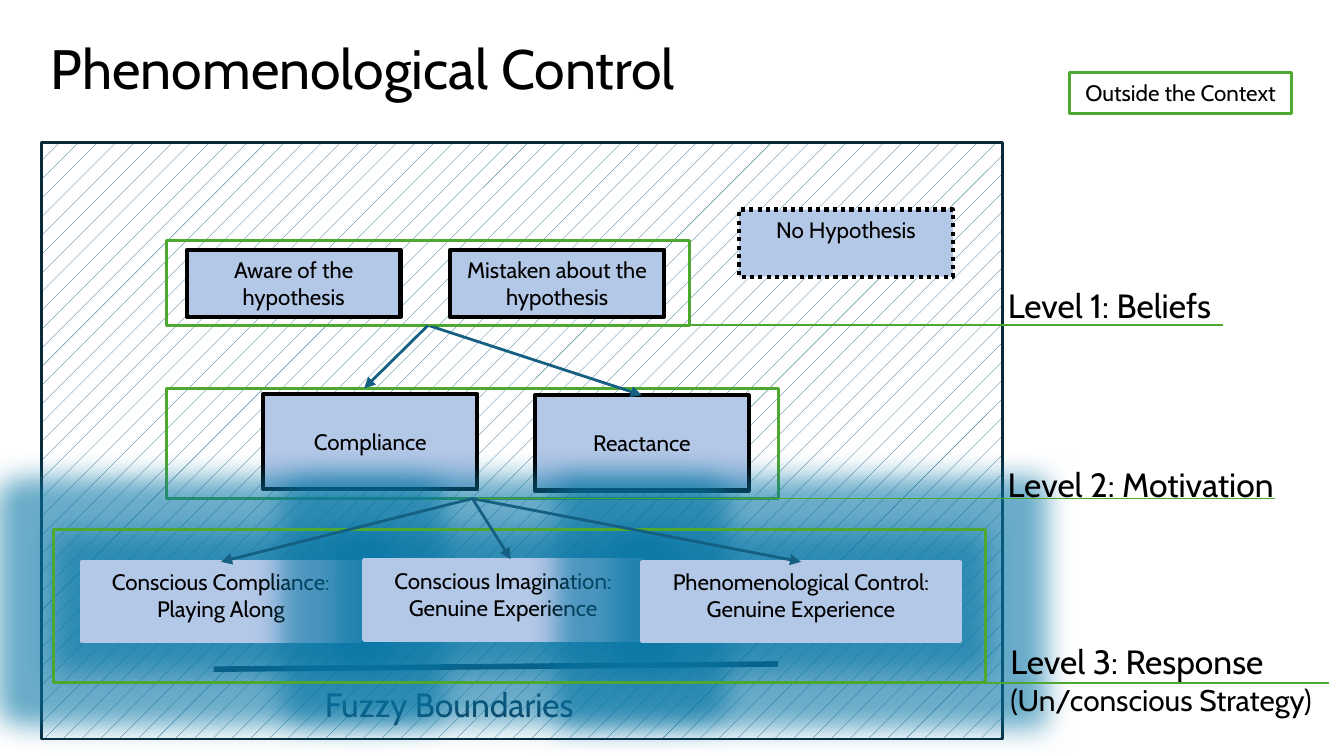
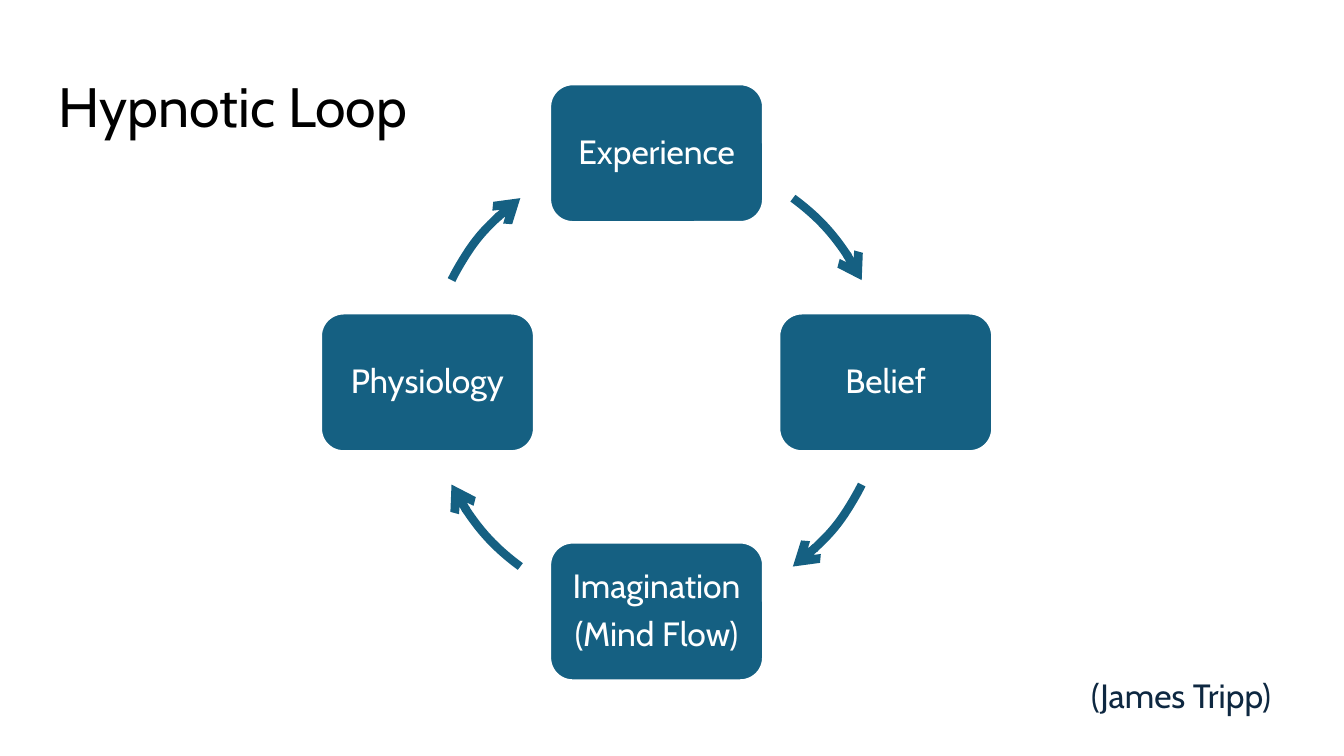
from collections import namedtuple
from math import cos, radians, sin

from lxml import etree
from pptx import Presentation
from pptx.dml.color import RGBColor
from pptx.enum import dml, shapes, text
from pptx.oxml import ns
from pptx.util import Pt

BLACK = RGBColor(0x00, 0x00, 0x00)
WHITE = RGBColor(0xFF, 0xFF, 0xFF)
NAVY = RGBColor(0x0E, 0x28, 0x41)
TEAL = RGBColor(0x15, 0x60, 0x82)
DARK_TEAL = RGBColor(0x09, 0x2A, 0x39)
GLOW = RGBColor(0x07, 0x76, 0xA5)
PALE_BLUE = RGBColor(0xB3, 0xC7, 0xE7)
GREEN = RGBColor(0x4E, 0xA7, 0x2E)
FONT = "Cabin"
TOP, BOTTOM = 0, 2

Box = namedtuple("Box", "x y w h")


def within(box, dx, dy, w, h):
    return Box(box.x + dx, box.y + dy, w, h)


def sub(parent, tag, **attrs):
    return etree.SubElement(parent, ns.qn(tag), attrs)


def write(sp, words, size, color, align=text.PP_ALIGN.LEFT,
          anchor=text.MSO_ANCHOR.TOP, inset=(7.2, 3.6), spacing=None, after=None):
    tf = sp.text_frame
    tf.word_wrap = True
    tf.vertical_anchor = anchor
    tf.margin_left = tf.margin_right = Pt(inset[0])
    tf.margin_top = tf.margin_bottom = Pt(inset[1])
    tf.text = words
    for p in tf.paragraphs:
        p.alignment = align
        if spacing:
            p.line_spacing = spacing
        if after:
            p.space_after = Pt(after)
        for r in p.runs:
            r.font.name, r.font.size = FONT, Pt(size)
            r.font.color.rgb = color
    return tf


def label(s, box, words, size=18, color=BLACK, **style):
    return write(s.shapes.add_textbox(*map(Pt, box)), words, size, color, **style)


def title(s, x, y, words):
    label(s, Box(x, y, 671, 45.4), words, 29.7, inset=(7.2, 7.2), spacing=0.9)


def shape(s, box, fill, line, width, kind=shapes.MSO_SHAPE.RECTANGLE):
    sp = s.shapes.add_shape(kind, *map(Pt, box))
    sp.shadow.inherit = False
    if fill is None:
        sp.fill.background()
    else:
        sp.fill.solid()
        sp.fill.fore_color.rgb = fill
    sp.line.color.rgb = line
    sp.line.width = Pt(width)
    return sp


def idea(s, box, words, line=BLACK, fill=PALE_BLUE, width=2.25,
         anchor=text.MSO_ANCHOR.TOP):
    """Centred small text in a bordered rectangle."""
    sp = shape(s, box, fill, line, width)
    write(sp, words, 12, BLACK, text.PP_ALIGN.CENTER, anchor)
    return sp


def add_glow(sp):
    effects = sp._element.spPr.find(ns.qn("a:effectLst"))
    glow = sub(effects, "a:glow", rad=str(Pt(30)))
    color = sub(glow, "a:srgbClr", val=str(GLOW))
    sub(color, "a:alpha", val="60000")


def add_head(line, kind):
    sub(line._get_or_add_ln(), "a:tailEnd", type=kind)


def connect(s, x1, y1, x2, y2, color, width, start=None, end=None, head=None):
    """Straight line; start and end are shapes joined at bottom and top."""
    c = s.shapes.add_connector(shapes.MSO_CONNECTOR.STRAIGHT,
                               *map(Pt, (x1, y1, x2, y2)))
    if start is not None:
        c.begin_connect(start, BOTTOM)
    if end is not None:
        c.end_connect(end, TOP)
    c.line.color.rgb = color
    c.line.width = Pt(width)
    if head:
        add_head(c.line, head)
    sub(c._element.spPr, "a:effectLst")
    return c


def level(s, frame, ideas, fuzzy=False, anchor=text.MSO_ANCHOR.TOP):
    """Ideas as (dx, dy, w, h, words) inside a green frame; returns all shapes."""
    boxes = []
    for *place, words in ideas:
        sp = idea(s, within(frame, *place), words,
                  PALE_BLUE if fuzzy else BLACK, anchor=anchor)
        if fuzzy:
            add_glow(sp)
        boxes.append(sp)
    return shape(s, frame, None, GREEN, 1.5), boxes


def level_caption(s, frame, dx, rise, width, height, words, rule_start, rule_end,
                  start=None):
    """Caption right of the frame, with a rule along the frame's bottom."""
    bottom = frame.y + frame.h
    tf = label(s, Box(frame.x + dx, bottom - rise, width, height), words)
    connect(s, rule_start, bottom, rule_end, bottom, GREEN, 1, start)
    return tf


def arrows(s, frame, box, targets):
    """Arrows from the frame's bottom; a target is a shape or a point."""
    x, y = box.x + box.w / 2, box.y + box.h
    for target in targets:
        point = isinstance(target, tuple)
        x2, y2 = target if point else (
            (target.left + target.width / 2) / Pt(1), target.top / Pt(1))
        connect(s, x, y, x2, y2, TEAL, 1.5, frame,
                None if point else target, "triangle")


def levels_diagram(s, box):
    panel = shape(s, box, WHITE, DARK_TEAL, 1.5)
    panel.fill.patterned()
    panel.fill.pattern = dml.MSO_PATTERN.PERCENT_5
    panel.fill.fore_color.rgb = TEAL
    panel.fill.back_color.rgb = WHITE

    connect(s, box.x + 92.2, box.y + 282.2, box.x + 394.6, box.y + 279.4, NAVY, 3)
    label(s, within(box, 144.7, 283, 188.6, 36), "Fuzzy Boundaries",
          color=NAVY, inset=(7.2, 7.2))

    beliefs = within(box, 67, 52.6, 280.1, 45.4)
    motivation = within(box, 67, 131.8, 327.6, 59)
    response = within(box, 6.5, 207.4, 499, 82.1)

    beliefs_frame, _ = level(s, beliefs, [
        (10.8, 5, 114.5, 36, "Aware of the hypothesis"),
        (151.9, 5, 114.5, 36, "Mistaken about the hypothesis")])
    none = idea(s, within(box, 373.7, 36, 114.5, 36), "No Hypothesis")
    none.line.dash_style = dml.MSO_LINE.ROUND_DOT
    motivation_frame, (_, reactance) = level(s, motivation, [
        (51.8, 2.9, 114.5, 51.1, "Compliance"),
        (197.3, 3.6, 114.5, 51.1, "Reactance")], anchor=text.MSO_ANCHOR.MIDDLE)
    _, (playing, _, control) = level(s, response, [
        (15.1, 17.3, 149, 42.5, "Conscious Compliance:\vPlaying Along"),
        (166.3, 16.6, 149, 42.5, "Conscious Imagination:\nGenuine Experience"),
        (315.4, 17.3, 169.9, 42.5, "Phenomenological Control:\nGenuine Experience"),
    ], fuzzy=True)

    arrows(s, beliefs_frame, beliefs,
           [(box.x + 172.8, motivation.y), reactance])
    arrows(s, motivation_frame, motivation,
           [control, playing, (box.x + 251.3, response.y + 15.9)])

    level_caption(s, beliefs, 443.5, 25.3, 131, 29, "Level 1: Beliefs",
                  beliefs.x + beliefs.w / 2, box.x + 632.9, beliefs_frame)
    level_caption(s, motivation, 443.5, 22.3, 160.6, 29, "Level 2: Motivation",
                  box.x + 234, box.x + 661)
    tf = level_caption(s, response, 505.4, 26, 206.6, 48,
                       "Level 3: Response\n(Un/conscious Strategy)",
                       box.x + 226.1, box.x + 689.8)
    tf.paragraphs[1].runs[0].font.size = Pt(16)


def loop_diagram(s, box, names):
    """Names clockwise from the top of the circle that fills the box."""
    w, h = 114.5, 74.2
    radius = box.w / 2
    for i, name in enumerate(names):
        turn = radians(90 * i - 90)
        node = Box(box.x + radius + radius * cos(turn) - w / 2,
                   box.y + radius + radius * sin(turn) - h / 2, w, h)
        sp = shape(s, node, TEAL, WHITE, 1.5, shapes.MSO_SHAPE.ROUNDED_RECTANGLE)
        write(sp, name, 18, WHITE, text.PP_ALIGN.CENTER, text.MSO_ANCHOR.MIDDLE,
              (5, 5), spacing=0.9, after=6.3)

    for middle in (-40, 40, 140, 220):
        arc = shape(s, box, None, TEAL, 4.5, shapes.MSO_SHAPE.ARC)
        for j, angle in enumerate((middle - 13.5, middle + 13.5)):
            arc.adjustments[j] = angle % 360 * 0.6  # 60000 units a degree
        add_head(arc.line, "arrow")


def control_slide(s):
    levels_diagram(s, Box(22.3, 76.3, 514.8, 319.7))
    title(s, 20.2, 15.1, "Phenomenological Control")
    idea(s, Box(573.1, 38.9, 118.8, 21.8), "Outside the Context", GREEN, WHITE, 1.5,
         text.MSO_ANCHOR.MIDDLE)


def loop_slide(s):
    title(s, 24.5, 35.3, "Hypnotic Loop")
    label(s, Box(577.4, 354.2, 142, 36), "(James Tripp)", color=NAVY,
          inset=(7.2, 7.2))
    loop_diagram(s, Box(229, 82.1, 245.5, 245.5),
                 ["Experience", "Belief", "Imagination\n(Mind Flow)", "Physiology"])


def main():
    prs = Presentation()
    prs.slide_width, prs.slide_height = Pt(720), Pt(405)
    for build in (control_slide, loop_slide):
        build(prs.slides.add_slide(prs.slide_layouts[6]))
    prs.save("out.pptx")


if __name__ == "__main__":
    main()
